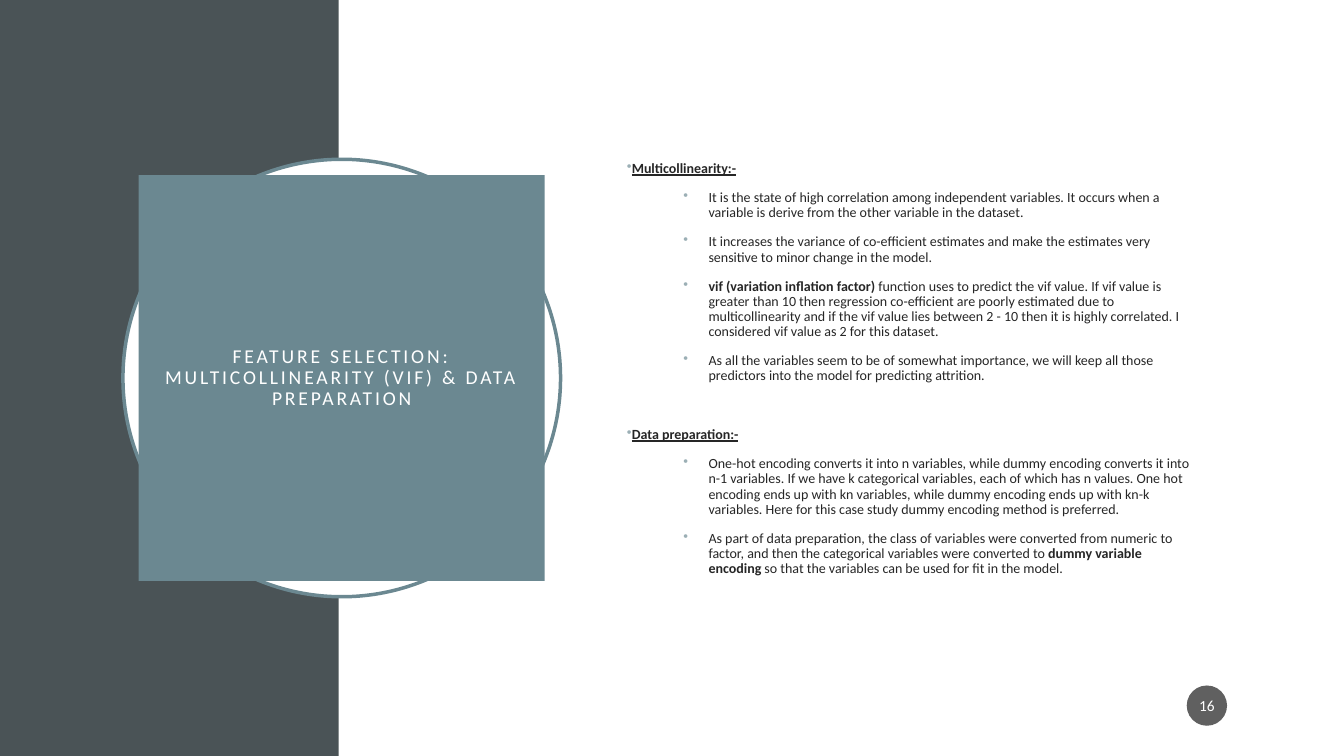
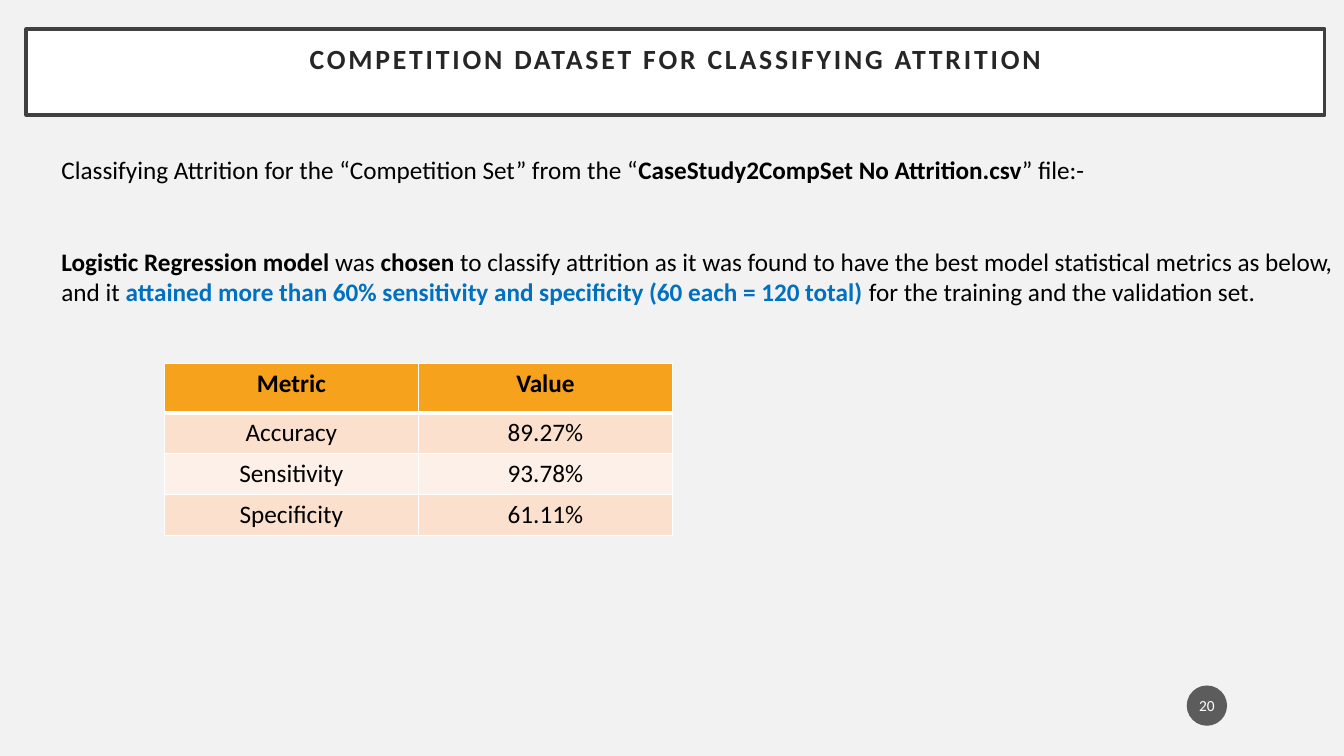
from collections import namedtuple

from lxml.etree import SubElement
from pptx import Presentation
from pptx.dml.color import RGBColor
from pptx.enum.shapes import MSO_SHAPE as Preset
from pptx.enum.text import MSO_ANCHOR as Anchor, PP_ALIGN as Align
from pptx.oxml.ns import qn
from pptx.util import Inches, Pt

FONT = "Calibri"
WHITE, BLACK, INK = "FFFFFF", "000000", "262626"
SLATE, TEAL, MIST = "4A5356", "6B8891", "9BAFB5"
PALE, FRAME, BADGE, BLUE = "F2F2F2", "404040", "1D1D1D", "0070C0"
HEADER, BAND_DARK, BAND_LIGHT = "F6A21D", "FBE0CD", "FDF0E8"

HEADING = {"bold": True, "underline": True}
BOLD = {"bold": True}
TOPICS = [
    ("Multicollinearity:-", [
        [("It is the state of high correlation among independent variables. It occurs when a "
          "variable is derive from the other variable in the dataset.", {})],
        [("It increases the variance of co-efficient estimates and make the estimates very "
          "sensitive to minor change in the model.", {})],
        [("vif (variation inflation factor) ", BOLD),
         ("function uses to predict the vif value. If vif value is greater than 10 then "
          "regression co-efficient are poorly estimated due to multicollinearity and if the vif "
          "value lies between 2 - 10 then it is highly correlated. I considered vif value as 2 "
          "for this dataset.", {})],
        [("As all the variables seem to be of somewhat importance, we will keep all those "
          "predictors into the model for predicting attrition.", {})],
    ]),
    ("Data preparation:-", [
        [("One-hot encoding converts it into n variables, while dummy encoding converts it into "
          "n-1 variables. If we have k categorical variables, each of which has n values. One hot "
          "encoding ends up with kn variables, while dummy encoding ends up with kn-k variables. "
          "Here for this case study dummy encoding method is preferred.", {})],
        [("As part of data preparation, the class of variables were converted from numeric to "
          "factor, and then the categorical variables were converted to ", {}),
         ("dummy variable encoding", BOLD),
         (" so that the variables can be used for fit in the model.", {})],
    ]),
]
FINDINGS = [
    [("Classifying Attrition for the “Competition Set” from the “", {}),
     ("CaseStudy2CompSet No Attrition.csv", BOLD),
     ("” file:-", {})],
    [("Logistic Regression model ", BOLD), ("was ", {}), ("chosen", BOLD),
     (" to classify attrition as it was found to have the best model statistical metrics as "
      "below, and it ", {}),
     ("attained more than 60% sensitivity and specificity (60 each = 120 total) ",
      {"bold": True, "color": BLUE}),
     ("for the training and the validation set.", {})],
]
METRICS = [("Metric", "Value"), ("Accuracy", "89.27%"),
           ("Sensitivity", "93.78%"), ("Specificity", "61.11%")]


class Box(namedtuple("Box", "left top width height")):
    """A rectangle on the slide."""

    def region(self, left, top, width, height):
        """Return an inner box given in percent of this one."""
        return Box(int(self.left + self.width * left / 100),
                   int(self.top + self.height * top / 100),
                   int(self.width * width / 100), int(self.height * height / 100))


def rgb(value):
    """Turn a hex string into a colour."""
    return RGBColor.from_string(value)


def paint(target, color):
    """Give a shape, cell or background a solid fill."""
    target.fill.solid()
    target.fill.fore_color.rgb = rgb(color)


def style_run(run, size, color, bold=False, underline=False, spacing=0):
    """Set the font of one run."""
    font = run.font
    font.name, font.size, font.bold, font.underline = FONT, Pt(size), bold, underline
    font.color.rgb = rgb(color)
    if spacing:
        run._r.get_or_add_rPr().set("spc", str(spacing * 100))


def write_runs(paragraph, pieces, size, color):
    """Fill a paragraph with styled pieces of text."""
    for words, style in pieces:
        run = paragraph.add_run()
        run.text = words
        style_run(run, size, **{"color": color, **style})


def write_label(frame, words, size, color, **style):
    """Write one centred paragraph."""
    frame.text = words
    paragraph = frame.paragraphs[0]
    paragraph.alignment = Align.CENTER
    for run in paragraph.runs:
        style_run(run, size, color, **style)
    return paragraph


def set_insets(frame, across, down):
    """Set equal side margins and equal top and bottom margins."""
    frame.margin_left = frame.margin_right = Inches(across)
    frame.margin_top = frame.margin_bottom = Inches(down)


def add_panel(slide, box, preset, fill, line=None):
    """Add a flat shape with an optional outline."""
    panel = slide.shapes.add_shape(preset, *box)
    panel.shadow.inherit = False
    paint(panel, fill)
    if line:
        panel.line.color.rgb = rgb(line)
        panel.line.width = Pt(2.5)
    else:
        panel.line.fill.background()
    return panel


def add_title(panel, words, size, color, inset, anchor, bold=False):
    """Write a spaced capital title into a panel."""
    frame = panel.text_frame
    frame.word_wrap = True
    frame.vertical_anchor = anchor
    set_insets(frame, 0.2, inset)
    write_label(frame, words, size, color, bold=bold, spacing=2).line_spacing = 0.9


def add_badge(slide, box, number):
    """Add the round page number."""
    badge = add_panel(slide, box.region(88.3, 90.67, 3, 5.33), Preset.OVAL, BADGE)
    tint = badge._element.spPr.find(qn("a:solidFill"))[0]
    SubElement(tint, qn("a:alpha"), val="70000")
    badge.text_frame.vertical_anchor = Anchor.MIDDLE
    set_insets(badge.text_frame, 0.02, 0.05)
    write_label(badge.text_frame, str(number), 11, WHITE)


def add_page(deck, background, number):
    """Add a blank slide with its background and page number."""
    slide = deck.slides.add_slide(deck.slide_layouts[6])
    paint(slide.background, background)
    page = Box(0, 0, deck.slide_width, deck.slide_height)
    add_badge(slide, page, number)
    return slide, page


def add_emblem(slide, box, words):
    """Add the ringed title block."""
    add_panel(slide, box, Preset.OVAL, WHITE, TEAL)
    block = add_panel(slide, box.region(3.6, 3.6, 92.8, 92.8), Preset.RECTANGLE, TEAL)
    add_title(block, words, 14, WHITE, 0.2, Anchor.MIDDLE)


def add_text(slide, box):
    """Add an empty wrapping text box."""
    frame = slide.shapes.add_textbox(*box).text_frame
    frame.word_wrap = True
    return frame


def set_bullet(paragraph, indent):
    """Give a paragraph a hanging bullet."""
    props = paragraph._p.get_or_add_pPr()
    props.set("marL", str(Inches(indent)))
    props.set("indent", str(Inches(-0.25)))
    SubElement(SubElement(props, qn("a:buClr")), qn("a:srgbClr"), val=MIST)
    SubElement(props, qn("a:buChar"), char="•")


def add_topics(slide, box, topics):
    """Add headings, each followed by its bullet points."""
    frame = add_text(slide, box)
    for index, (heading, points) in enumerate(topics):
        entries = [([(heading, HEADING)], 0, 31 if index else 0)]
        entries += [(pieces, 0.81, 10) for pieces in points]
        for pieces, indent, gap in entries:
            paragraph = frame.add_paragraph() if frame.text else frame.paragraphs[0]
            paragraph.line_spacing = 0.9
            paragraph.space_before = Pt(gap)
            set_bullet(paragraph, indent)
            write_runs(paragraph, pieces, 10, INK)


def add_findings(slide, box, findings):
    """Add widely spaced paragraphs."""
    frame = add_text(slide, box)
    frame.margin_right = 0
    for index, pieces in enumerate(findings):
        paragraph = frame.add_paragraph() if index else frame.paragraphs[0]
        paragraph.space_before = Pt(44 if index else 0)
        write_runs(paragraph, pieces, 18, BLACK)


def set_borders(cell, bottom):
    """Draw white borders around a cell."""
    props = cell._tc.get_or_add_tcPr()
    for index, (side, width) in enumerate(zip("LRTB", (1, 1, 1, bottom))):
        edge = SubElement(props, qn("a:ln" + side), w=str(Pt(width)))
        SubElement(SubElement(edge, qn("a:solidFill")), qn("a:srgbClr"), val=WHITE)
        props.insert(index, edge)


def add_metrics(slide, box, rows):
    """Add the metric table with a taller header row."""
    table = slide.shapes.add_table(len(rows), len(rows[0]), *box).table
    unit = box.height / (len(rows) + 0.2)
    for index, values in enumerate(rows):
        header = index == 0
        table.rows[index].height = int(unit * (1.2 if header else 1))
        fill = HEADER if header else (BAND_LIGHT, BAND_DARK)[index % 2]
        for column, value in enumerate(values):
            cell = table.cell(index, column)
            paint(cell, fill)
            set_borders(cell, 3 if header else 1)
            write_label(cell.text_frame, value, 18, BLACK, bold=header)


def build_feature_slide(deck):
    """Build the slide on feature selection."""
    slide, page = add_page(deck, WHITE, 16)
    add_panel(slide, page.region(0, 0, 25.2, 100), Preset.RECTANGLE, SLATE)
    add_emblem(slide, page.region(9.15, 21.07, 32.56, 57.87),
               "FEATURE SELECTION: MULTICOLLINEARITY (VIF) & DATA PREPARATION")
    add_topics(slide, page.region(45.91, 20.67, 43.66, 59.07), TOPICS)


def build_competition_slide(deck):
    """Build the slide on the competition dataset."""
    slide, page = add_page(deck, PALE, 20)
    banner = add_panel(slide, page.region(1.95, 3.87, 96.62, 11.33),
                       Preset.RECTANGLE, WHITE, FRAME)
    add_title(banner, "COMPETITION DATASET FOR CLASSIFYING ATTRITION",
              19.8, INK, 0.16, Anchor.TOP, bold=True)
    add_findings(slide, page.region(3.83, 19.73, 96.17, 22), FINDINGS)
    add_metrics(slide, page.region(12.23, 48.13, 37.81, 22.67), METRICS)


def main():
    """Build and save the deck."""
    deck = Presentation()
    deck.slide_width, deck.slide_height = Inches(13.33), Inches(7.5)
    build_feature_slide(deck)
    build_competition_slide(deck)
    deck.save("out.pptx")


if __name__ == "__main__":
    main()
